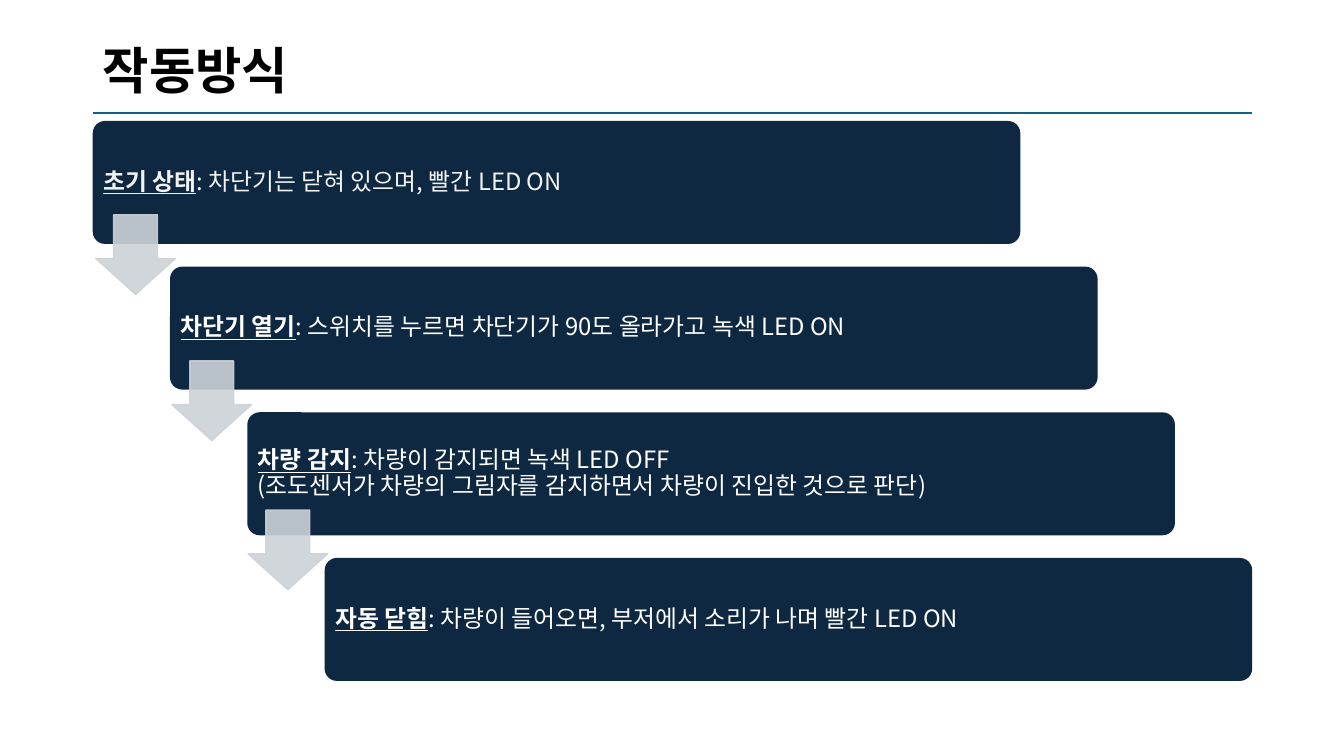
from pptx import Presentation
from pptx.dml.color import RGBColor
from pptx.enum.shapes import MSO_CONNECTOR, MSO_SHAPE
from pptx.enum.text import MSO_ANCHOR, PP_ALIGN
from pptx.oxml.ns import qn
from pptx.util import Inches, Pt
from lxml.etree import SubElement

THEME = {
    "font": "Noto Sans CJK KR",
    "title": {"size": Pt(36), "bold": True, "color": "000000"},
    "label": {"size": Pt(17), "bold": True, "underline": True},
    "detail": {"size": Pt(17), "bold": False, "underline": False},
    "first_text": "F2F2F2",
    "text": "FFFFFF",
    "rule": "156082",
    "box": "0E2841",
    "arrow": "CCD2D8",
}
LEFT, WIDTH = 0.92, 11.5
BOX_W, BOX_H = WIDTH * 0.8, 1.22
TOP, ROW = 1.2, 1.445
COL = (WIDTH - BOX_W) / 3
ARROW, ARROW_COL = 0.79, 0.755
ARROW_TOPS = [2.13, 3.58, 5.06]

STEPS = [
    ("초기 상태", [": 차단기는 닫혀 있으며, 빨간 LED ON"]),
    ("차단기 열기", [": 스위치를 누르면 차단기가 90도 올라가고 녹색 LED ON"]),
    ("차량 감지", [": 차량이 감지되면 녹색 LED OFF ",
               "(조도센서가 차량의 그림자를 감지하면서 차량이 진입한 것으로 판단)"]),
    ("자동 닫힘", [": 차량이 들어오면, 부저에서 소리가 나며 빨간 LED ON"]),
]


def add_run(p, text, style, color):
    r = p.add_run()
    r.text = text
    for name, value in style.items():
        if name != "color":
            setattr(r.font, name, value)
    r.font.color.rgb = RGBColor.from_string(color)
    r.font.name = THEME["font"]
    SubElement(r.font._element, qn("a:ea"), typeface=THEME["font"])


def add_block(s, kind, box, adjustments, color):
    sp = s.shapes.add_shape(kind, *map(Inches, box))
    sp.shadow.inherit = False
    for i, value in enumerate(adjustments):
        sp.adjustments[i] = value
    sp.fill.solid()
    sp.fill.fore_color.rgb = RGBColor.from_string(color)
    return sp


prs = Presentation()
prs.slide_width, prs.slide_height = Inches(13.33), Inches(7.5)
s = prs.slides.add_slide(prs.slide_layouts.get_by_name("Title Only"))

# Title and rule
title = s.shapes.title
title.left, title.top, title.width, title.height = map(Inches, (LEFT, 0.4, WIDTH, 0.65))
title.text_frame.vertical_anchor = MSO_ANCHOR.MIDDLE
p = title.text_frame.paragraphs[0]
p.alignment, p.line_spacing = PP_ALIGN.LEFT, 0.9
add_run(p, "작동방식", THEME["title"], THEME["title"]["color"])

rule = s.shapes.add_connector(
    MSO_CONNECTOR.STRAIGHT, *map(Inches, (LEFT, 1.12, LEFT + WIDTH, 1.12)))
rule.line.color.rgb = RGBColor.from_string(THEME["rule"])
rule.line.width = Pt(1.5)
SubElement(rule._element.spPr, qn("a:effectLst"))

# Staircase of steps
for i, (label, lines) in enumerate(STEPS):
    sp = add_block(s, MSO_SHAPE.ROUNDED_RECTANGLE,
                   (LEFT + i * COL, TOP + i * ROW, BOX_W, BOX_H), [0.1], THEME["box"])
    sp.line.fill.background()
    tf = sp.text_frame
    tf.word_wrap, tf.vertical_anchor = True, MSO_ANCHOR.MIDDLE
    for side in ("left", "top", "right", "bottom"):
        setattr(tf, f"margin_{side}", Inches(0.07))
    p = tf.paragraphs[0]
    p.alignment, p.line_spacing = PP_ALIGN.LEFT, 0.9
    color = THEME["text"] if i else THEME["first_text"]
    add_run(p, label, THEME["label"], color)
    for n, line in enumerate(lines):
        if n:
            p.add_line_break()
        add_run(p, line, THEME["detail"], color)

# Arrows between steps
for i, top in enumerate(ARROW_TOPS):
    sp = add_block(s, MSO_SHAPE.DOWN_ARROW,
                   (LEFT + 0.03 + i * ARROW_COL, top, ARROW, ARROW),
                   [0.55, 0.45], THEME["arrow"])
    sp.line.color.rgb = RGBColor.from_string(THEME["arrow"])
    sp.line.width = Pt(1)
    for clr in sp._element.spPr.iter(qn("a:srgbClr")):
        SubElement(clr, qn("a:alpha"), val="90000")

prs.save("out.pptx")
